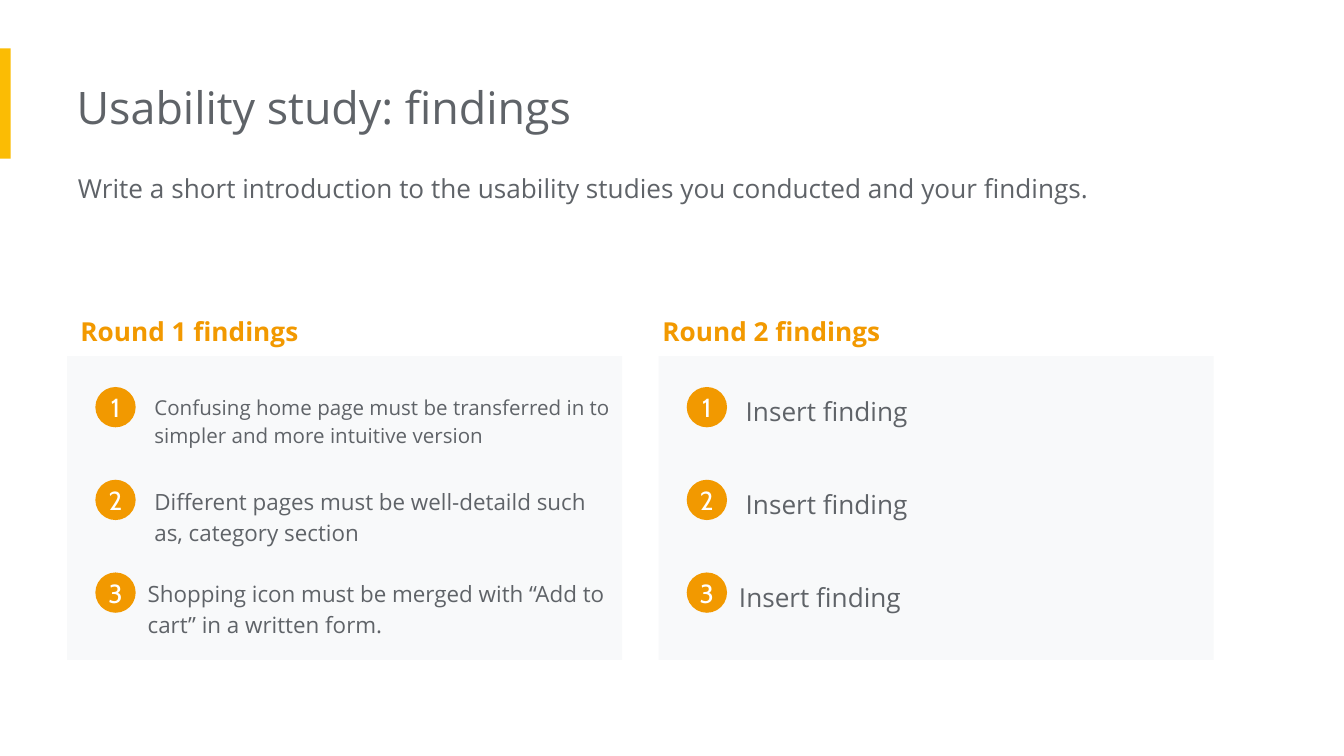
from pptx import Presentation
from pptx.dml.color import RGBColor
from pptx.enum.shapes import MSO_SHAPE
from pptx.enum.text import MSO_ANCHOR, MSO_AUTO_SIZE, PP_ALIGN
from pptx.util import Inches, Pt

COLORS = {
    "accent": "FBBC04",
    "orange": "F29900",
    "text": "5F6368",
    "panel": "F8F9FA",
    "white": "FFFFFF",
}
BODY_FONT = "Open Sans"
NUMBER_FONT = "Cabin"
PANEL_TOP = 2.65
FIRST_FINDING_TOP = 2.81
FINDING_STEP = 0.69
FINDING_INDENTS = [0.55, 0.55, 0.5]

ROUNDS = [
    {
        "heading": "Round 1 findings",
        "left": 0.5,
        "heading_left": 0.5,
        "findings": [
            ("Confusing home page must be transferred in to simpler and more intuitive version", 11, 0.63),
            ("Different pages must be well-detaild such as, category section", 12, 0.67),
            ("Shopping icon must be merged with “Add to cart” in a written form.", 12, 0.67),
        ],
    },
    {
        "heading": "Round 2 findings",
        "left": 4.9,
        "heading_left": 4.83,
        "findings": [("Insert finding", 14, 0.44)] * 3,
    },
]


def write_run(paragraph, text, size, color="text", font=BODY_FONT, bold=False):
    run = paragraph.add_run()
    run.text = text
    run.font.name = font
    run.font.size = Pt(size)
    run.font.bold = bold
    run.font.color.rgb = RGBColor.from_string(COLORS[color])


def set_frame(text_frame, left_inset, inset, anchor, auto_size):
    text_frame.margin_left = Inches(left_inset)
    text_frame.margin_top = Inches(inset)
    text_frame.margin_right = Inches(inset)
    text_frame.margin_bottom = Inches(inset)
    text_frame.vertical_anchor = anchor
    text_frame.word_wrap = True
    text_frame.auto_size = auto_size


def add_title(slide, text):
    title = slide.shapes.title
    title.left, title.top = Inches(0.57), Inches(0.49)
    title.width, title.height = Inches(6.73), Inches(0.61)
    set_frame(title.text_frame, 0, 0.1, MSO_ANCHOR.TOP, MSO_AUTO_SIZE.SHAPE_TO_FIT_TEXT)
    paragraph = title.text_frame.paragraphs[0]
    paragraph.alignment = PP_ALIGN.LEFT
    write_run(paragraph, text, 24)


def add_text(slide, text, left, top, width, height, size=14, left_inset=0.1, color="text", bold=False):
    box = slide.shapes.add_textbox(Inches(left), Inches(top), Inches(width), Inches(height))
    set_frame(box.text_frame, left_inset, 0.1, MSO_ANCHOR.TOP, MSO_AUTO_SIZE.SHAPE_TO_FIT_TEXT)
    paragraph = box.text_frame.paragraphs[0]
    paragraph.line_spacing = 1.15
    write_run(paragraph, text, size, color, bold=bold)


def add_block(slide, kind, left, top, width, height, color):
    shape = slide.shapes.add_shape(kind, Inches(left), Inches(top), Inches(width), Inches(height))
    shape.shadow.inherit = False
    shape.fill.solid()
    shape.fill.fore_color.rgb = RGBColor.from_string(COLORS[color])
    shape.line.fill.background()
    return shape


def add_number(slide, number, left, top):
    circle = add_block(slide, MSO_SHAPE.OVAL, left, top, 0.3, 0.3, "orange")
    set_frame(circle.text_frame, 0, 0, MSO_ANCHOR.MIDDLE, MSO_AUTO_SIZE.NONE)
    paragraph = circle.text_frame.paragraphs[0]
    paragraph.alignment = PP_ALIGN.CENTER
    write_run(paragraph, str(number), 14, "white", NUMBER_FONT)


def add_round(slide, heading, left, heading_left, findings):
    add_block(slide, MSO_SHAPE.RECTANGLE, left, PANEL_TOP, 4.13, 2.26, "panel")
    add_text(slide, heading, heading_left, 2.21, 3.65, 0.44, color="orange", bold=True)
    for index, (text, size, height) in enumerate(findings):
        top = FIRST_FINDING_TOP + index * FINDING_STEP
        add_text(slide, text, left + FINDING_INDENTS[index], top, 3.65, height, size)
        add_number(slide, index + 1, left + 0.21, top + 0.07)


def main():
    presentation = Presentation()
    presentation.slide_width = Inches(10)
    presentation.slide_height = Inches(10) * 9 // 16
    slide = presentation.slides.add_slide(presentation.slide_layouts[5])

    add_block(slide, MSO_SHAPE.RECTANGLE, 0, 0.36, 0.08, 0.82, "accent")
    add_title(slide, "Usability study: findings")
    add_text(
        slide,
        "Write a short introduction to the usability studies you conducted and your findings.",
        0.58, 1.15, 8.61, 0.71, left_inset=0,
    )
    for study_round in ROUNDS:
        add_round(slide, **study_round)

    presentation.save("out.pptx")


if __name__ == "__main__":
    main()
